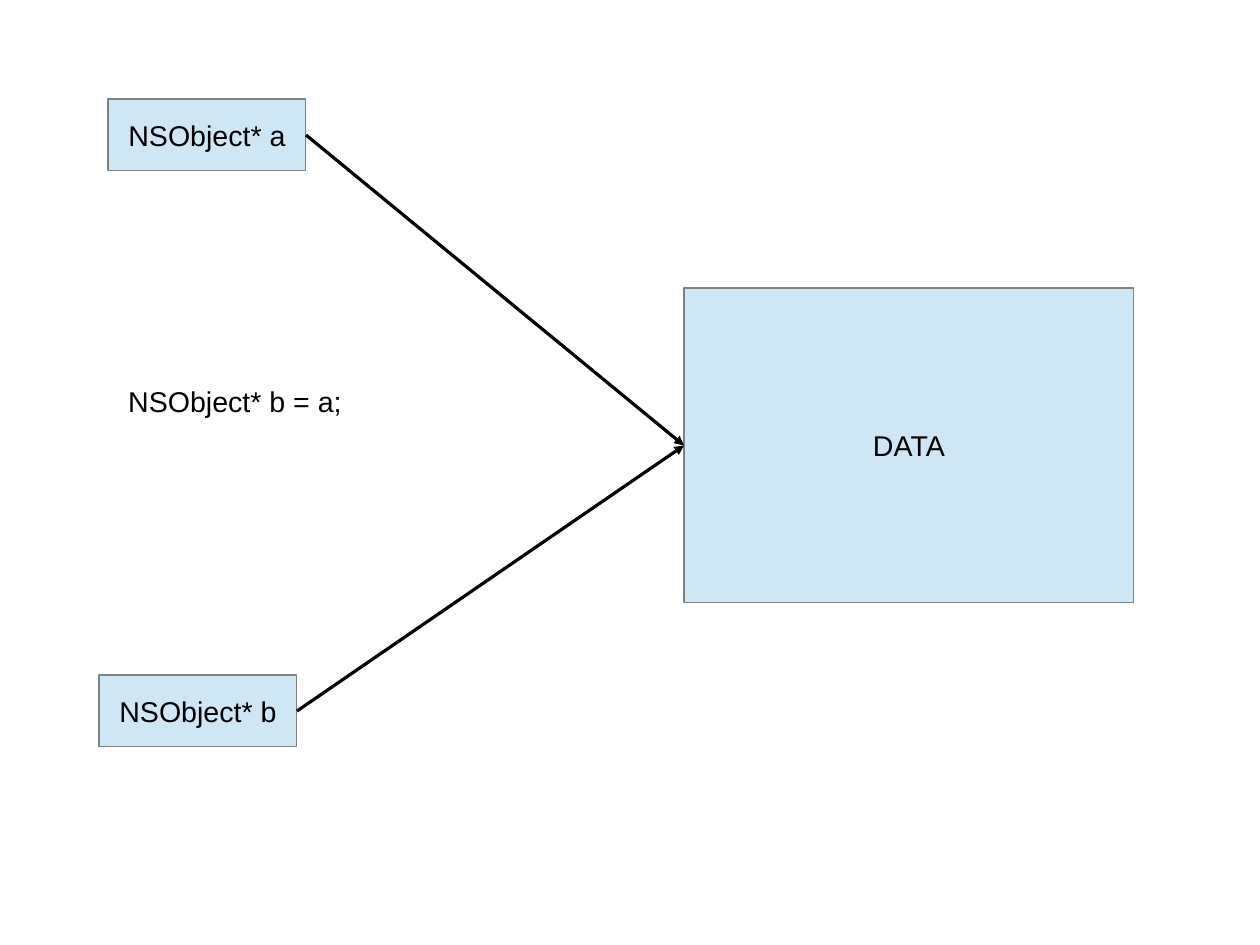
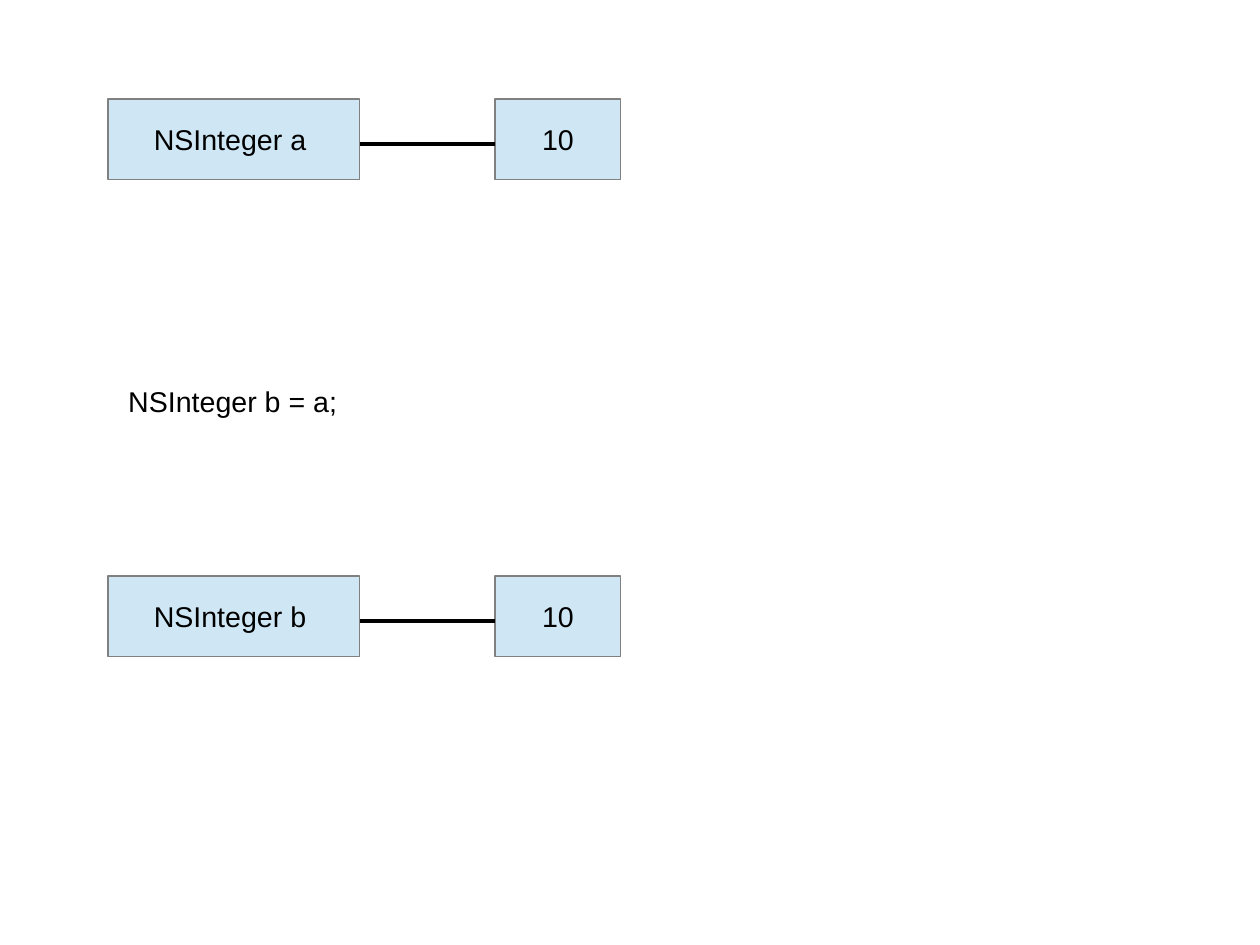
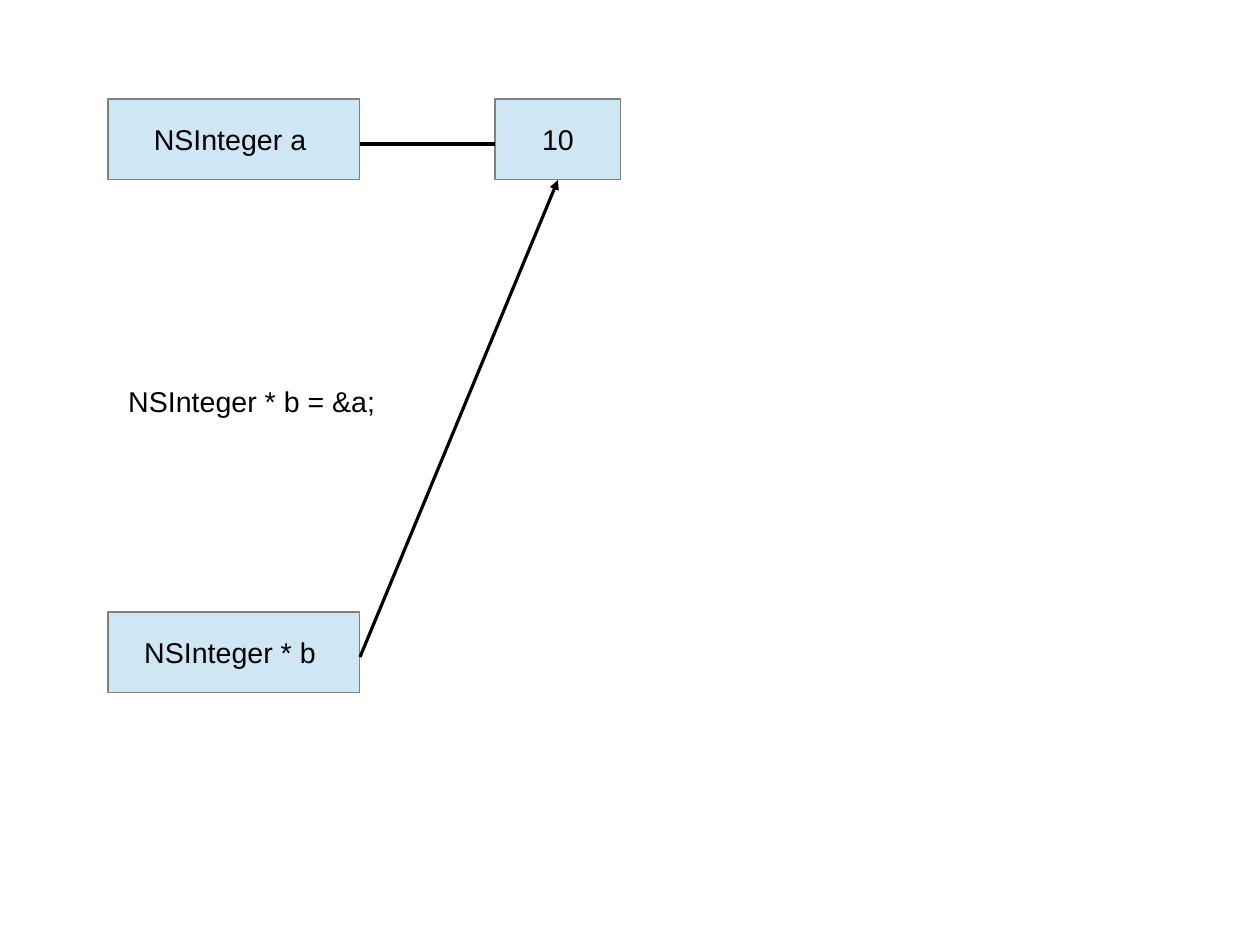
from lxml import etree
from pptx import Presentation
from pptx.dml.color import RGBColor
from pptx.enum.shapes import MSO_CONNECTOR, MSO_SHAPE
from pptx.enum.text import MSO_ANCHOR, MSO_AUTO_SIZE, PP_ALIGN
from pptx.oxml.ns import qn
from pptx.util import Cm, Pt

RECTANGLE = MSO_SHAPE.RECTANGLE
STRAIGHT = MSO_CONNECTOR.STRAIGHT
MIDDLE = MSO_ANCHOR.MIDDLE
CENTER = PP_ALIGN.CENTER
FIT_SHAPE = MSO_AUTO_SIZE.SHAPE_TO_FIT_TEXT

# Shared look
PALE_BLUE = RGBColor(0xCF, 0xE7, 0xF5)
GREY = RGBColor(0x80, 0x80, 0x80)
BLACK = RGBColor(0x00, 0x00, 0x00)
FONT_NAME, FONT_SIZE = "Arial", Pt(18)
HAIRLINE = Pt(0)

# Connection sites of a rectangle
LEFT_SIDE, BOTTOM_SIDE, RIGHT_SIDE = 1, 2, 3

# Shared layout, in centimetres
MARGIN, TOP = 2.4, 2.2
POINTER_WIDTH, POINTER_HEIGHT = 4.4, 1.6
NAME_WIDTH, VALUE_WIDTH, ROW_HEIGHT = 5.6, 2.8, 1.8
VALUE_GAP = 3
LINE_DROP = 1  # from the top of a row to its line


def write(shape, text):
    shape.text_frame.text = text
    paragraph = shape.text_frame.paragraphs[0]
    paragraph.font.name = FONT_NAME
    paragraph.font.size = FONT_SIZE
    paragraph.font.color.rgb = BLACK
    return paragraph


def add_box(page, text, left, top, width, height):
    box = page.shapes.add_shape(RECTANGLE, Cm(left), Cm(top), Cm(width), Cm(height))
    box.shadow.inherit = False
    box.fill.solid()
    box.fill.fore_color.rgb = PALE_BLUE
    box.line.color.rgb = GREY
    box.line.width = HAIRLINE
    box.text_frame.vertical_anchor = MIDDLE
    write(box, text).alignment = CENTER
    return box


def add_statement(page, text, width):
    """The line of code between the upper and lower boxes."""
    box = page.shapes.add_textbox(Cm(2.6), Cm(8.4), Cm(width), Cm(0.96))
    box.text_frame.word_wrap = False
    box.text_frame.auto_size = FIT_SHAPE
    write(box, text)


def add_line(page, start=(0, 0), end=(0, 0), arrow=False):
    points = [Cm(length) for length in (*start, *end)]
    line = page.shapes.add_connector(STRAIGHT, *points)
    line.line.color.rgb = BLACK
    line.line.width = HAIRLINE
    if arrow:
        etree.SubElement(line.line._get_or_add_ln(), qn("a:tailEnd"), type="triangle")
    etree.SubElement(line._element.spPr, qn("a:effectLst"))
    return line


def add_pointer(page, text, left, top, target):
    """A pointer box with an arrow to the left side of its target."""
    box = add_box(page, text, left, top, POINTER_WIDTH, POINTER_HEIGHT)
    arrow = add_line(page, arrow=True)
    arrow.begin_connect(box, RIGHT_SIDE)
    arrow.end_connect(target, LEFT_SIDE)


def add_variable(page, text, value, left, top):
    """A name box joined by a plain line to its value box."""
    name_right = left + NAME_WIDTH
    value_left = name_right + VALUE_GAP
    line_top = top + LINE_DROP
    add_box(page, text, left, top, NAME_WIDTH, ROW_HEIGHT)
    value_box = add_box(page, value, value_left, top, VALUE_WIDTH, ROW_HEIGHT)
    add_line(page, (name_right, line_top), (value_left, line_top))
    return value_box


def build_shared_object(page):
    data = add_box(page, "DATA", 15.2, 6.4, 10, 7)
    add_pointer(page, "NSObject* a", MARGIN, TOP, data)
    add_statement(page, "NSObject* b = a;", 5.26)
    add_pointer(page, "NSObject* b", 2.2, 15, data)


def build_copied_value(page):
    add_variable(page, "NSInteger a ", "10", MARGIN, TOP)
    add_statement(page, "NSInteger b = a;", 5.16)
    add_variable(page, "NSInteger b ", "10", MARGIN, 12.8)


def build_value_address(page):
    value = add_variable(page, "NSInteger a ", "10", MARGIN, TOP)
    add_statement(page, "NSInteger * b = &a;", 6)
    pointer_top = 13.6
    add_box(page, "NSInteger * b ", MARGIN, pointer_top, NAME_WIDTH, ROW_HEIGHT)
    start = (MARGIN + NAME_WIDTH, pointer_top + LINE_DROP)
    add_line(page, start, arrow=True).end_connect(value, BOTTOM_SIDE)


def main():
    deck = Presentation()
    deck.slide_width, deck.slide_height = Cm(28), Cm(21)
    blank = deck.slide_layouts[6]
    for build in (build_shared_object, build_copied_value, build_value_address):
        build(deck.slides.add_slide(blank))
    deck.save("out.pptx")


if __name__ == "__main__":
    main()
